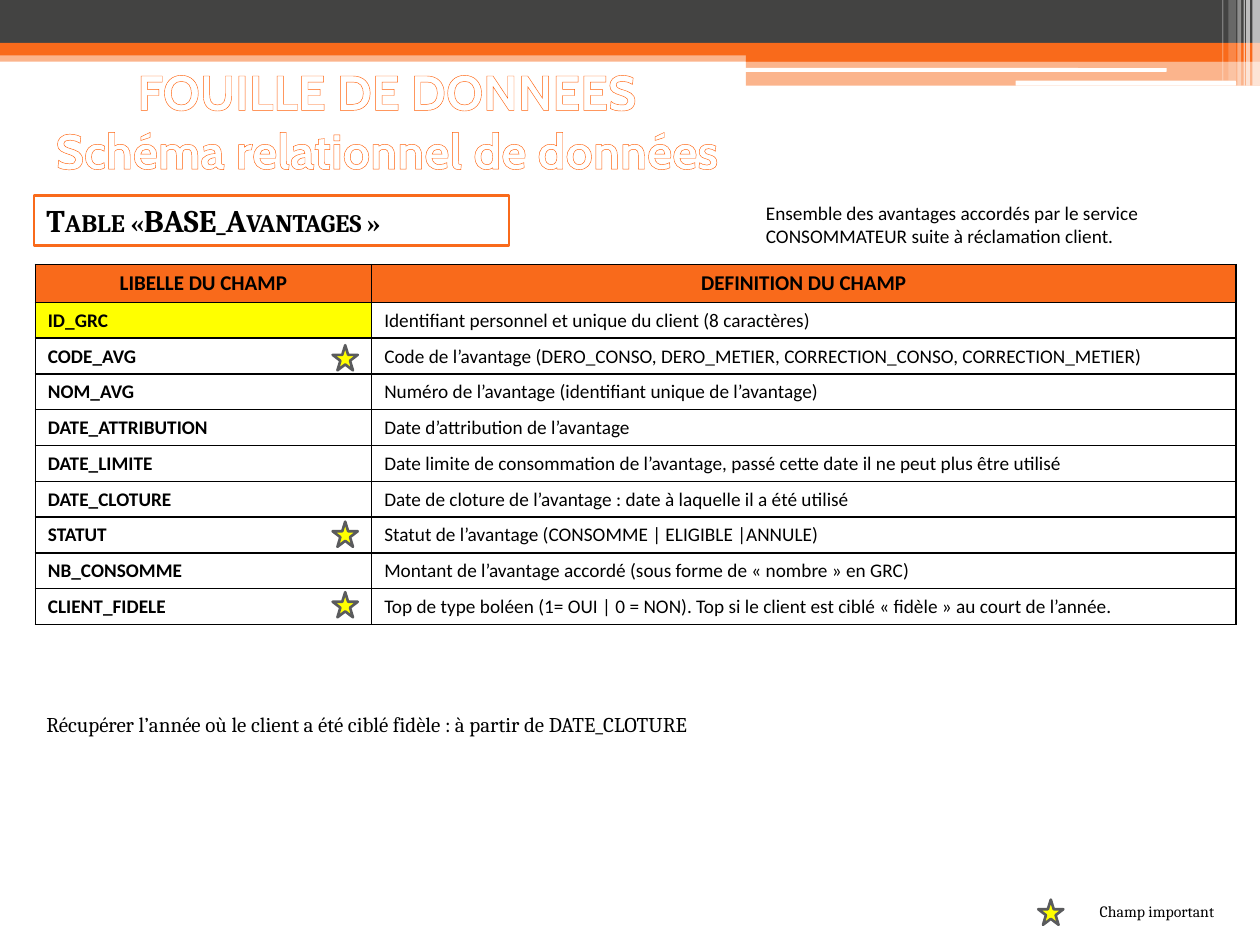
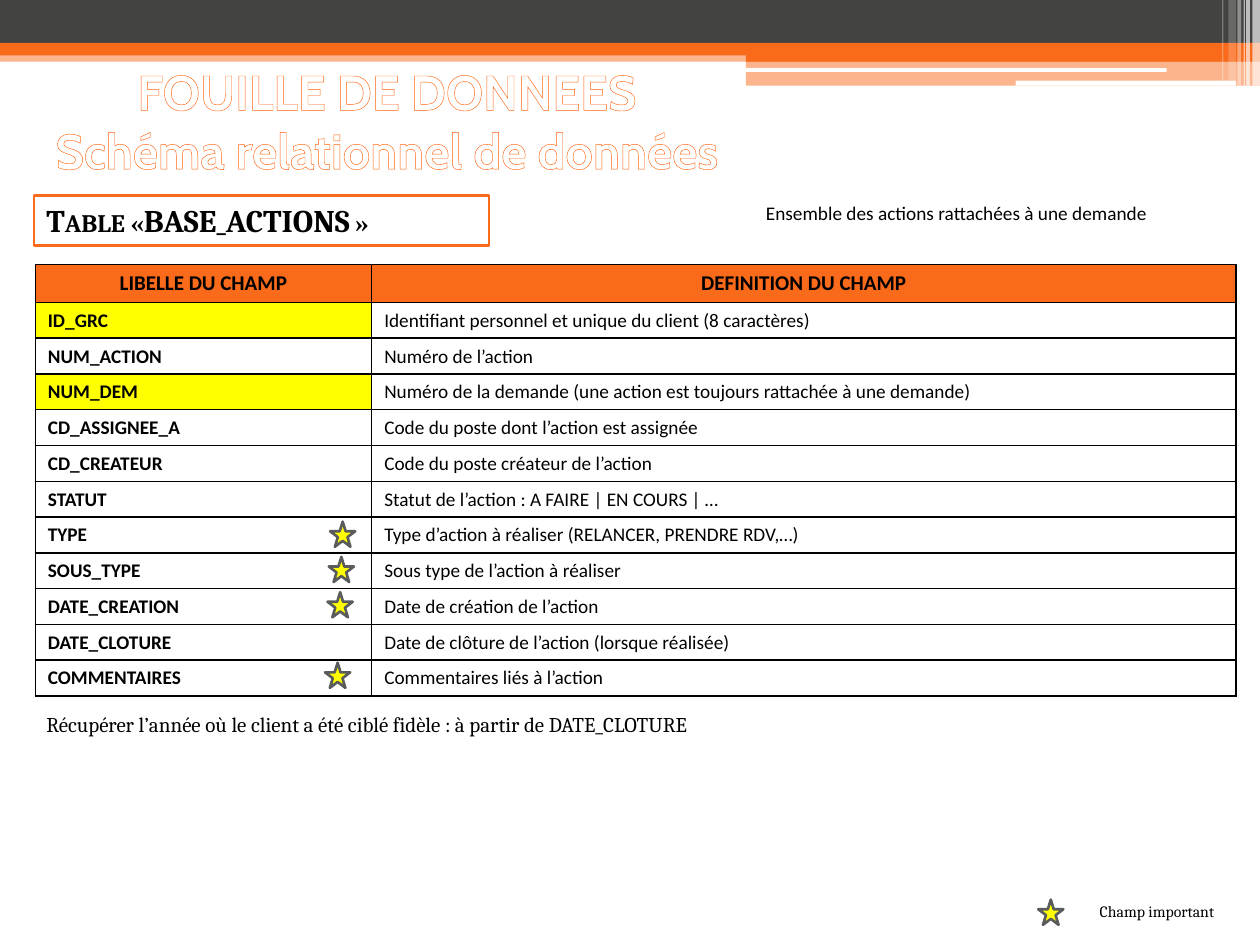
from lxml.etree import SubElement
from pptx import Presentation
from pptx.dml.color import RGBColor
from pptx.enum.shapes import MSO_SHAPE
from pptx.enum.text import MSO_ANCHOR, PP_ALIGN
from pptx.oxml.ns import qn
from pptx.util import Inches, Pt

# Page grid: 100 columns by 75 rows
WIDTH, HEIGHT = Inches(10), Inches(7.5)
COL, ROW = WIDTH / 100, HEIGHT / 75

ORANGE = RGBColor(0xF9, 0x6A, 0x1B)
EDGE = RGBColor(0xFF, 0x60, 0x09)
DARK = RGBColor(0x43, 0x43, 0x42)
GRAY = RGBColor(0x5A, 0x5B, 0x5D)
YELLOW = RGBColor(0xFF, 0xFF, 0x00)
WHITE = RGBColor(0xFF, 0xFF, 0xFF)
BLACK = RGBColor(0, 0, 0)

TITLE_FONT, TABLE_FONT, TEXT_FONT = "Cabin", "Calibri", "Cambria"
TITLE = "FOUILLE DE DONNEES\vSchéma relationnel de données"
HEADER = ("LIBELLE DU CHAMP", "DEFINITION DU CHAMP")
NOTE = "Récupérer l’année où le client a été ciblé fidèle : à partir de DATE_CLOTURE"
TABLE_COLS = (26.7, 68.6)
LINE_ROWS = 2.8
STAR_SIZE = 2

# Bands: left, top, width, height, colour, opacity in percent
BANDS = [
    (0, 4, 100, 0.9, ORANGE, 50),
    (0, 0, 100, 3.4, DARK, 100),
    (0, 3.4, 100, 1, ORANGE, 100),
    (59.2, 3.9, 40.8, 1, ORANGE, 100),
    (59.2, 4.8, 40.8, 2, ORANGE, 50),
]
SLITS = [(59.1, 5.4, 33.5, 0.3), (80.6, 6.4, 17.5, 0.4)]
# Stripes: left, width, height, opacity in percent
STRIPES = [
    (99.4, 0.6, 6.8, 65),
    (98.9, 0.3, 6.8, 65),
    (98.7, 0.1, 6.8, 60),
    (98.2, 0.3, 6.8, 40),
    (97.5, 0.6, 6.4, 20),
    (97, 0.1, 6.4, 30),
]

# Each page: key rows are yellow, stars map a table row to a left column
PAGES = [
    {
        "name": "Table «BASE_Avantages »",
        "width": 37.7,
        "about": "Ensemble des avantages accordés par le service "
                 "CONSOMMATEUR suite à réclamation client.",
        "keys": {1},
        "stars": {row: 26.4 for row in (2, 7, 9)},
        "fields": [
            ("ID_GRC", "Identifiant personnel et unique du client (8 caractères)"),
            ("CODE_AVG", "Code de l’avantage (DERO_CONSO, DERO_METIER, "
                         "CORRECTION_CONSO, CORRECTION_METIER)"),
            ("NOM_AVG", "Numéro de l’avantage (identifiant unique de l’avantage)"),
            ("DATE_ATTRIBUTION", "Date d’attribution de l’avantage"),
            ("DATE_LIMITE", "Date limite de consommation de l’avantage, "
                            "passé cette date il ne peut plus être utilisé"),
            ("DATE_CLOTURE", "Date de cloture de l’avantage : "
                             "date à laquelle il a été utilisé"),
            ("STATUT", "Statut de l’avantage (CONSOMME | ELIGIBLE |ANNULE)"),
            ("NB_CONSOMME", "Montant de l’avantage accordé "
                            "(sous forme de « nombre » en GRC)"),
            ("CLIENT_FIDELE", "Top de type boléen (1= OUI | 0 = NON). Top si le "
                              "client est ciblé « fidèle » au court de l’année."),
        ],
    },
    {
        "name": "Table «BASE_ACTIONS »",
        "width": 36.1,
        "about": "Ensemble des actions rattachées à une demande",
        "keys": {1, 3},
        "stars": {row: 26.9 - 0.1 * row for row in (7, 8, 9, 11)},
        "fields": [
            ("ID_GRC", "Identifiant personnel et unique du client (8 caractères)"),
            ("NUM_ACTION", "Numéro de l’action"),
            ("NUM_DEM", "Numéro de la demande "
                        "(une action est toujours rattachée à une demande)"),
            ("CD_ASSIGNEE_A", "Code du poste dont l’action est assignée"),
            ("CD_CREATEUR", "Code du poste créateur de l’action"),
            ("STATUT", "Statut de l’action : A FAIRE | EN COURS | …"),
            ("TYPE", "Type d’action à réaliser (RELANCER, PRENDRE RDV,…)"),
            ("SOUS_TYPE", "Sous type de l’action à réaliser"),
            ("DATE_CREATION", "Date de création de l’action"),
            ("DATE_CLOTURE", "Date de clôture de l’action (lorsque réalisée)"),
            ("COMMENTAIRES", "Commentaires liés à l’action"),
        ],
    },
]


def place(left, top, width, height):
    return [round(n) for n in (left * COL, top * ROW, width * COL, height * ROW)]


def add_ink(parent, color, alpha=100):
    ink = SubElement(SubElement(parent, qn("a:solidFill")), qn("a:srgbClr"))
    ink.set("val", str(color))
    if alpha < 100:
        SubElement(ink, qn("a:alpha")).set("val", str(alpha * 1000))


def add_form(slide, kind, area, fill, line=None, alpha=100):
    form = slide.shapes.add_shape(kind, *place(*area))
    form.shadow.inherit = False
    form.fill.solid()
    form.fill.fore_color.rgb = fill
    if alpha < 100:
        ink = form.fill._xPr.find(".//" + qn("a:srgbClr"))
        SubElement(ink, qn("a:alpha")).set("val", str(alpha * 1000))
    if line is None:
        form.line.fill.background()
    else:
        form.line.color.rgb = line
        form.line.width = Pt(1.5)
    return form


def write(frame, text, font, size, bold=False, color=BLACK, align=PP_ALIGN.LEFT):
    para = frame.paragraphs[0]
    para.text = text
    para.alignment = align
    para.font.name = font
    para.font.size = Pt(size)
    para.font.bold = bold
    para.font.color.rgb = color
    return para


def add_text(slide, area, text, font, size, **style):
    frame = slide.shapes.add_textbox(*place(*area)).text_frame
    frame.word_wrap = True
    write(frame, text, font, size, **style)
    return frame


def add_star(slide, left, top):
    area = (left, top, STAR_SIZE, STAR_SIZE)
    add_form(slide, MSO_SHAPE.STAR_5_POINT, area, YELLOW, GRAY)


def add_bands(slide):
    for *area, color, alpha in BANDS:
        add_form(slide, MSO_SHAPE.RECTANGLE, area, color, alpha=alpha)
    for area in SLITS:
        add_form(slide, MSO_SHAPE.ROUNDED_RECTANGLE, area, WHITE)
    for left, width, height, alpha in STRIPES:
        area = (left, 0, width, height)
        add_form(slide, MSO_SHAPE.RECTANGLE, area, WHITE, alpha=alpha)


def add_title(slide):
    frame = add_text(slide, (-1.2, 7.6, 63.8, 7.1), TITLE, TITLE_FONT, 28,
                     bold=True, color=WHITE, align=PP_ALIGN.CENTER)
    frame.vertical_anchor = MSO_ANCHOR.BOTTOM
    # Outlined letters
    for run in frame.paragraphs[0].runs:
        run.font.color.rgb = WHITE
        props = run.font._element
        line = SubElement(props, qn("a:ln"), w=str(Pt(1)))
        add_ink(line, EDGE)
        props.insert(0, line)


def add_name(slide, text, width):
    box = add_form(slide, MSO_SHAPE.RECTANGLE, (2.7, 15.5, width, 4), WHITE, ORANGE)
    frame = box.text_frame
    frame.word_wrap = True
    frame.vertical_anchor = MSO_ANCHOR.TOP
    para = write(frame, text, TEXT_FONT, 18, bold=True)
    for run in para.runs:
        run.font._element.set("cap", "small")


def set_cell(cell, text, fill, size, bold, align=PP_ALIGN.LEFT):
    props = cell._tc.get_or_add_tcPr()
    for side in ("lnL", "lnR", "lnT", "lnB"):
        add_ink(SubElement(props, qn("a:" + side), w=str(Pt(1))), BLACK)
    cell.fill.solid()
    cell.fill.fore_color.rgb = fill
    write(cell.text_frame, text, TABLE_FONT, size, bold=bold, align=align)


def add_fields(slide, fields, keys):
    count = len(fields) + 1
    area = place(2.8, 21, sum(TABLE_COLS), LINE_ROWS * count)
    table = slide.shapes.add_table(count, len(HEADER), *area).table
    table.horz_banding = False
    for col, width in zip(table.columns, TABLE_COLS):
        col.width = round(width * COL)
    for cell, text in zip(table.rows[0].cells, HEADER):
        set_cell(cell, text, ORANGE, 12, True, PP_ALIGN.CENTER)
        cell.vertical_anchor = MSO_ANCHOR.MIDDLE
    for row, (name, sense) in enumerate(fields, 1):
        set_cell(table.cell(row, 0), name, YELLOW if row in keys else WHITE, 11, True)
        set_cell(table.cell(row, 1), sense, WHITE, 11, False)


def add_legend(slide):
    add_star(slide, 82.4, 71.4)
    add_text(slide, (86.3, 71.1, 12, 2.5), "Champ important", TEXT_FONT, 9)


def add_page(deck, page):
    slide = deck.slides.add_slide(deck.slide_layouts[6])
    add_bands(slide)
    add_title(slide)
    add_name(slide, page["name"], page["width"])
    add_text(slide, (59.8, 15.5, 39.8, 4.7), page["about"], TABLE_FONT, 11)
    add_fields(slide, page["fields"], page["keys"])
    add_text(slide, (2.7, 56, 59, 3), NOTE, TEXT_FONT, 12)
    for row, left in page["stars"].items():
        add_star(slide, left, 21.8 + LINE_ROWS * row)
    add_legend(slide)


def main():
    deck = Presentation()
    deck.slide_width, deck.slide_height = WIDTH, HEIGHT
    for page in PAGES:
        add_page(deck, page)
    deck.save("out.pptx")


if __name__ == "__main__":
    main()
